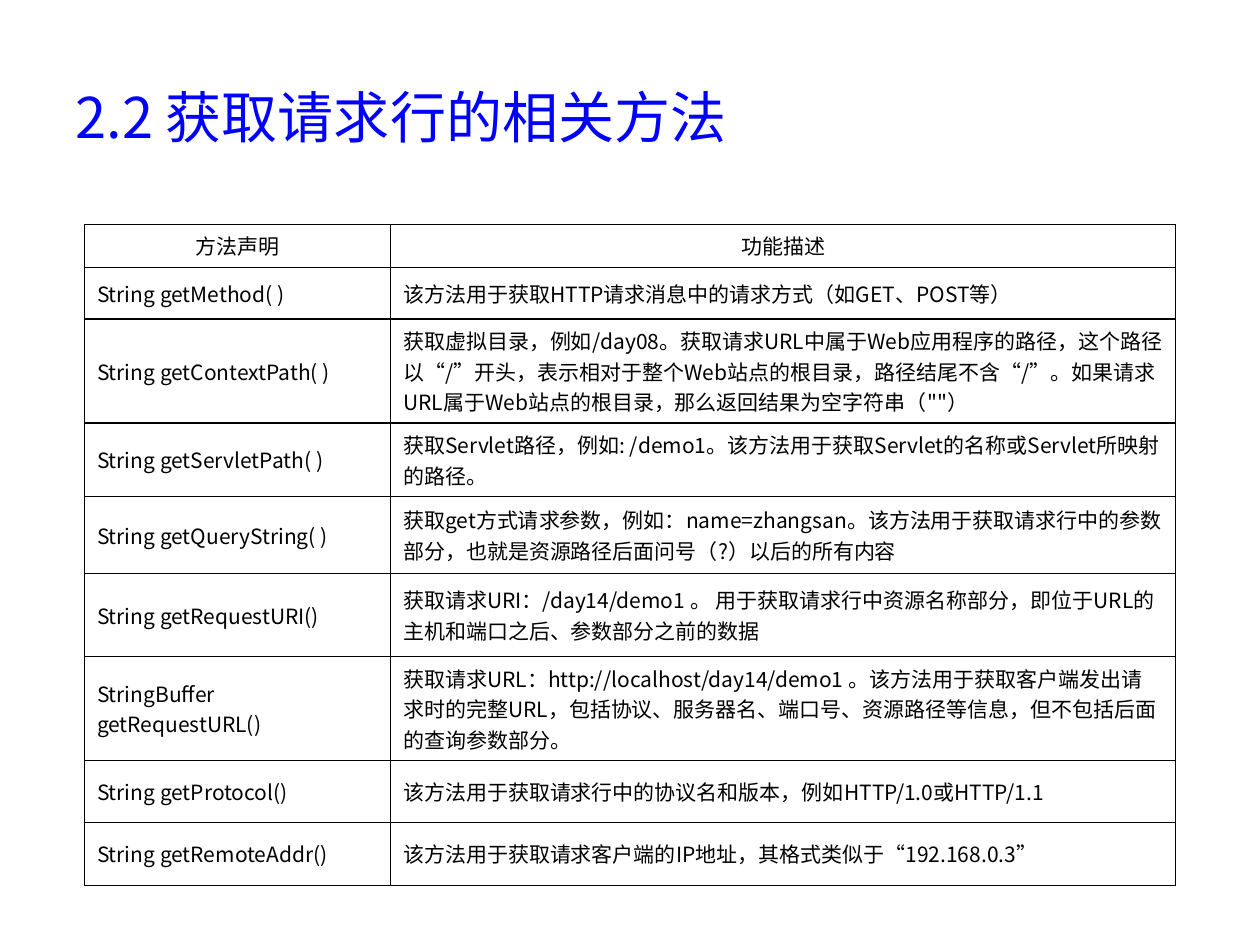
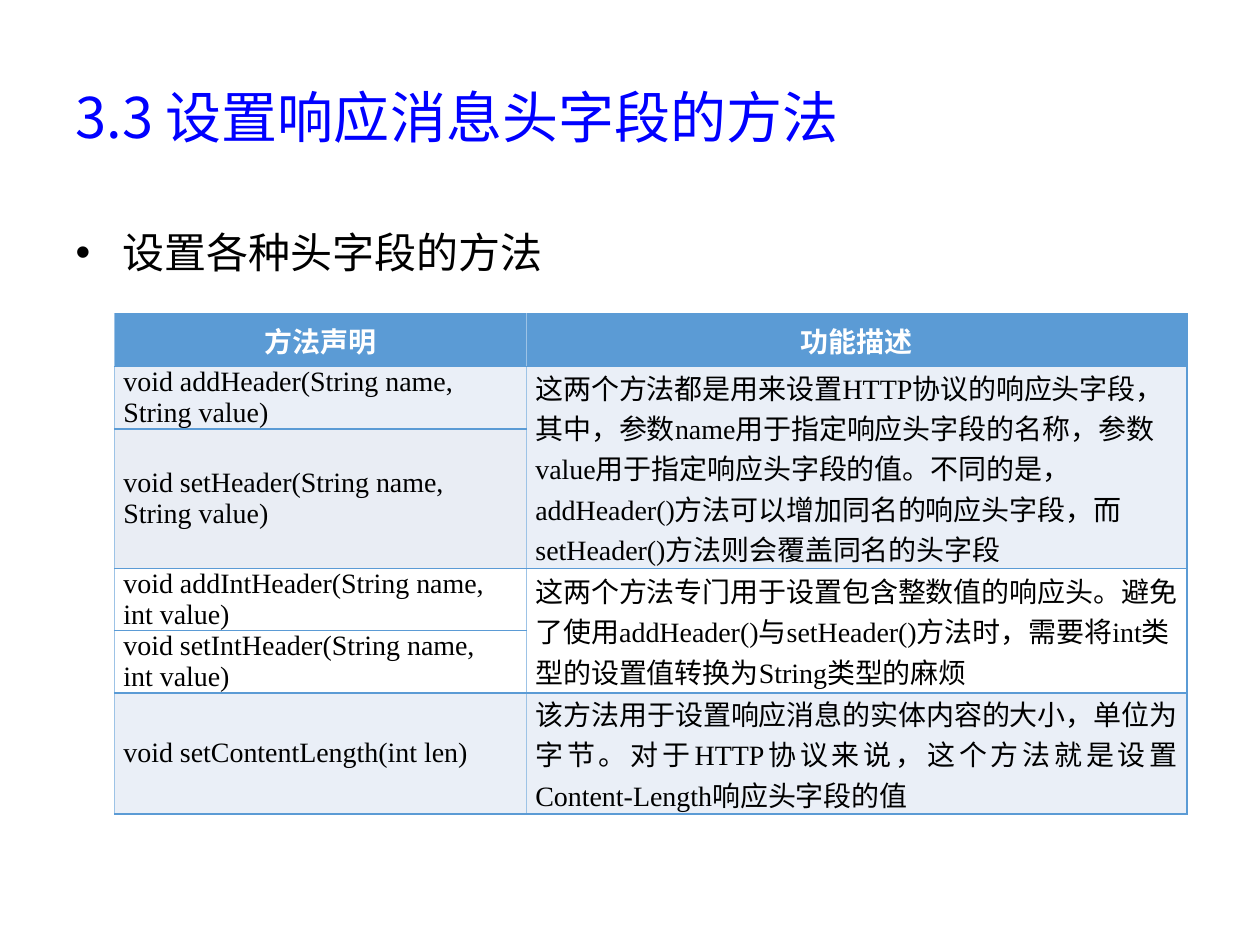
from dataclasses import dataclass

from lxml.etree import SubElement
from pptx import Presentation
from pptx.dml.color import RGBColor
from pptx.enum.text import MSO_ANCHOR, PP_ALIGN
from pptx.oxml.ns import qn
from pptx.util import Inches, Pt


@dataclass(frozen=True)
class Theme:
    blue: str = "0000FF"
    black: str = "000000"
    white: str = "FFFFFF"
    header_fill: str = "5B9BD5"
    light_line: str = "9DC3E6"
    band: str = "EAEFF7"
    band_grey: str = "E9EDF4"
    chinese_font: str = "Noto Sans CJK SC"
    header_font: str = "Calibri"
    code_font: str = "Times New Roman"
    title_size: int = 32
    body_size: int = 24
    small_size: int = 12
    table_size: int = 16
    line_width: int = 1


@dataclass(frozen=True)
class CellStyle:
    fill: str
    color: str
    font: str
    size: int
    bold: bool = False
    align: PP_ALIGN = PP_ALIGN.LEFT
    insets: tuple = (0.1, 0.05)


class DeckBuilder:
    def __init__(self, theme):
        self.theme = theme
        self.deck = Presentation()
        self.deck.slide_width = Inches(10)
        self.deck.slide_height = Inches(7.5)
        self.page = None

    def add_page(self, title, layout_name):
        layout = self.deck.slide_layouts.get_by_name(layout_name)
        self.page = self.deck.slides.add_slide(layout)
        box = self.page.shapes.title
        self.place(box, 0.5, 0.3, 9, 1.25)
        box.text_frame.text = title
        box.text_frame.vertical_anchor = MSO_ANCHOR.MIDDLE
        para = box.text_frame.paragraphs[0]
        para.alignment = PP_ALIGN.LEFT
        self.format_font(para, self.theme.chinese_font, self.theme.title_size, self.theme.blue)

    def add_list(self, items):
        box = self.page.placeholders[1]
        self.place(box, 0.5, 1.75, 9, 4.95)
        box.text_frame.text = "\n".join(items)
        for para in box.text_frame.paragraphs:
            self.format_font(para, self.theme.chinese_font, self.theme.body_size, self.theme.black)

    def add_table(self, position, widths, heights, rows, style_for, borders_for, merges=()):
        frame = self.page.shapes.add_table(
            len(rows), len(widths), *[Inches(length) for length in position]
        )
        table = frame.table
        table.first_row = False
        table.horz_banding = False
        for column, width in zip(table.columns, widths):
            column.width = Inches(width)
        for row, height in zip(table.rows, heights):
            row.height = Inches(height)
        for row_index, texts in enumerate(rows):
            for column_index, text in enumerate(texts):
                cell = table.cell(row_index, column_index)
                self.fill_cell(cell, text, style_for(row_index, column_index))
                self.draw_borders(cell, borders_for(column_index))
        for first, last in merges:
            table.cell(*first).merge(table.cell(*last))

    def fill_cell(self, cell, text, style):
        cell.text_frame.text = text
        cell.vertical_anchor = MSO_ANCHOR.MIDDLE
        side, edge = [Inches(length) for length in style.insets]
        cell.margin_left = cell.margin_right = side
        cell.margin_top = cell.margin_bottom = edge
        cell.fill.solid()
        cell.fill.fore_color.rgb = RGBColor.from_string(style.fill)
        for para in cell.text_frame.paragraphs:
            para.alignment = style.align
            self.format_font(para, style.font, style.size, style.color, style.bold)

    def draw_borders(self, cell, colors):
        properties = cell._tc.get_or_add_tcPr()
        for index, (side, color) in enumerate(zip("LRTB", colors)):
            line = SubElement(properties, qn(f"a:ln{side}"), w=str(Pt(self.theme.line_width)))
            fill = SubElement(line, qn("a:solidFill"))
            SubElement(fill, qn("a:srgbClr"), val=color)
            properties.insert(index, line)

    def format_font(self, para, name, size, color, bold=False):
        font = para.font
        font.name = name
        font.size = Pt(size)
        font.bold = bold
        font.color.rgb = RGBColor.from_string(color)
        SubElement(font._element, qn("a:ea"), typeface=self.theme.chinese_font)

    @staticmethod
    def place(box, left, top, width, height):
        box.left, box.top = Inches(left), Inches(top)
        box.width, box.height = Inches(width), Inches(height)


TABLE_HEADER = ("方法声明", "功能描述")

REQUEST_METHODS = [
    TABLE_HEADER,
    ("String getMethod( )", "该方法用于获取HTTP请求消息中的请求方式（如GET、POST等）"),
    (
        "String getContextPath( )",
        "获取虚拟目录，例如/day08。获取请求URL中属于Web应用程序的路径，这个路径以“/”开头，"
        "表示相对于整个Web站点的根目录，路径结尾不含“/”。"
        "如果请求URL属于Web站点的根目录，那么返回结果为空字符串（\"\"）",
    ),
    (
        "String getServletPath( )",
        "获取Servlet路径，例如: /demo1。该方法用于获取Servlet的名称或Servlet所映射的路径。",
    ),
    (
        "String getQueryString( )",
        "获取get方式请求参数，例如：name=zhangsan。该方法用于获取请求行中的参数部分，"
        "也就是资源路径后面问号（?）以后的所有内容",
    ),
    (
        "String getRequestURI()",
        "获取请求URI：/day14/demo1 。 用于获取请求行中资源名称部分，"
        "即位于URL的主机和端口之后、参数部分之前的数据",
    ),
    (
        "StringBuffer getRequestURL()",
        "获取请求URL：http://localhost/day14/demo1 。该方法用于获取客户端发出请求时的完整URL，"
        "包括协议、服务器名、端口号、资源路径等信息，但不包括后面的查询参数部分。",
    ),
    ("String getProtocol()", "该方法用于获取请求行中的协议名和版本，例如HTTP/1.0或HTTP/1.1"),
    ("String getRemoteAddr()", "该方法用于获取请求客户端的IP地址，其格式类似于“192.168.0.3”"),
]

HEADER_METHODS = [
    TABLE_HEADER,
    (
        "void addHeader(String name, String value)",
        "这两个方法都是用来设置HTTP协议的响应头字段，其中，参数name用于指定响应头字段的名称，"
        "参数value用于指定响应头字段的值。不同的是，addHeader()方法可以增加同名的响应头字段，"
        "而setHeader()方法则会覆盖同名的头字段",
    ),
    ("void setHeader(String name, String value)", ""),
    (
        "void addIntHeader(String name,\nint value)",
        "这两个方法专门用于设置包含整数值的响应头。避免了使用addHeader()与setHeader()方法时，"
        "需要将int类型的设置值转换为String类型的麻烦",
    ),
    ("void setIntHeader(String name,\nint value)", ""),
    (
        "void setContentLength(int len)",
        "该方法用于设置响应消息的实体内容的大小，单位为字节。对于HTTP协议来说，"
        "这个方法就是设置Content-Length响应头字段的值",
    ),
]


def build_request_page(builder):
    theme = builder.theme

    def style_for(row, column):
        align = PP_ALIGN.CENTER if row == 0 else PP_ALIGN.LEFT
        return CellStyle(
            theme.white, theme.black, theme.chinese_font, theme.small_size, align=align
        )

    builder.add_page("2.2 获取请求行的相关方法", "Title Only")
    builder.add_table(
        position=(0.67, 1.78, 8.66, 5.11),
        widths=(2.43, 6.23),
        heights=(0.16, 0.41, 0.79, 0.56, 0.61, 0.66, 0.79, 0.49, 0.5),
        rows=REQUEST_METHODS,
        style_for=style_for,
        borders_for=lambda column: [theme.black] * 4,
    )


def build_header_page(builder):
    theme = builder.theme
    row_fills = (
        theme.header_fill, theme.band, theme.band_grey, theme.white, theme.white, theme.band
    )
    last_row = len(HEADER_METHODS) - 1

    def style_for(row, column):
        if row == 0:
            return CellStyle(
                row_fills[row], theme.white, theme.header_font, theme.table_size,
                bold=True, align=PP_ALIGN.CENTER,
            )
        justified = (row, column) == (last_row, 1)
        return CellStyle(
            row_fills[row], theme.black, theme.code_font, theme.table_size,
            align=PP_ALIGN.JUSTIFY if justified else PP_ALIGN.LEFT, insets=(0.07, 0),
        )

    def borders_for(column):
        right = theme.light_line if column == 0 else theme.header_fill
        return theme.light_line, right, theme.header_fill, theme.header_fill

    builder.add_page("3.3 设置响应消息头字段的方法", "Title and Content")
    builder.add_list(["设置各种头字段的方法"])
    builder.add_table(
        position=(0.91, 2.49, 8.5, 3.58),
        widths=(3.27, 5.24),
        heights=(0.25, 0.46, 0.66, 0.36, 0.46, 0.82),
        rows=HEADER_METHODS,
        style_for=style_for,
        borders_for=borders_for,
        merges=[((1, 1), (2, 1)), ((3, 1), (4, 1))],
    )


def main():
    builder = DeckBuilder(Theme())
    build_request_page(builder)
    build_header_page(builder)
    builder.deck.save("out.pptx")


if __name__ == "__main__":
    main()
